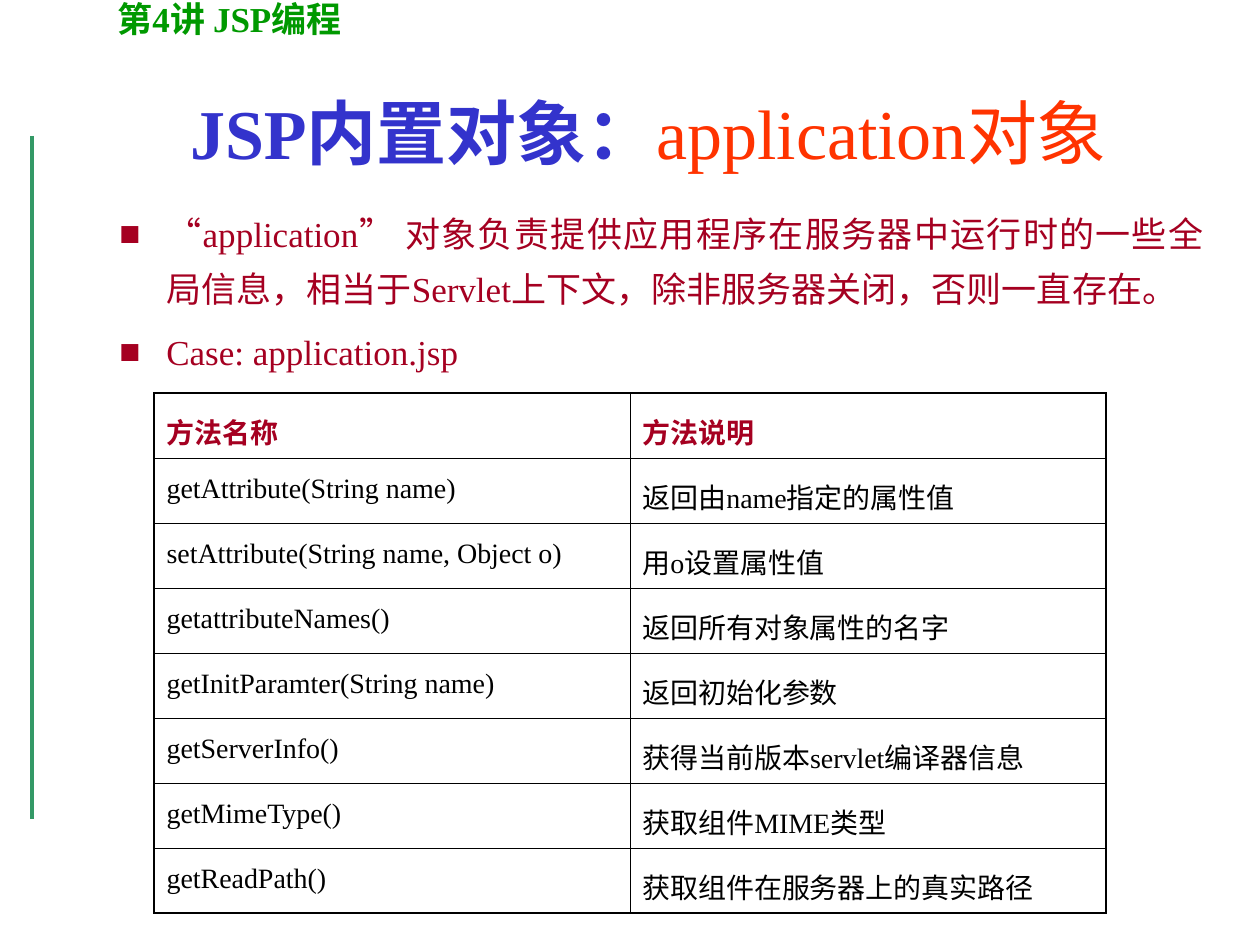
import pptx
import pptx.dml.color
import pptx.enum.shapes
import pptx.enum.text
import pptx.oxml.xmlchemy
import pptx.util
from lxml import etree

PX = 914400 / 126
FONT = "Times New Roman"
RULE_GREEN = pptx.dml.color.RGBColor(0x33, 0x99, 0x66)
LECTURE_GREEN = pptx.dml.color.RGBColor(0x00, 0x99, 0x00)
TITLE_BLUE = pptx.dml.color.RGBColor(0x33, 0x33, 0xCC)
TITLE_RED = pptx.dml.color.RGBColor(0xFF, 0x33, 0x00)
CRIMSON = pptx.dml.color.RGBColor(0xA5, 0x00, 0x21)
BLACK = pptx.dml.color.RGBColor(0x00, 0x00, 0x00)
OUTER, INNER = 1.08, 0.45

POINTS = [
    "“application” 对象负责提供应用程序在服务器中运行时的一些全局信息，相当于Servlet上下文，除非服务器关闭，否则一直存在。",
    "Case: application.jsp",
]
METHODS = [
    ("方法名称", "方法说明"),
    ("getAttribute(String name)", "返回由name指定的属性值"),
    ("setAttribute(String name, Object o)", "用o设置属性值"),
    ("getattributeNames()", "返回所有对象属性的名字"),
    ("getInitParamter(String name)", "返回初始化参数"),
    ("getServerInfo()", "获得当前版本servlet编译器信息"),
    ("getMimeType()", "获取组件MIME类型"),
    ("getReadPath()", "获取组件在服务器上的真实路径"),
]


def px(length):
    return pptx.util.Emu(round(length * PX))


def add_element(parent, tag, **attributes):
    return etree.SubElement(parent, pptx.oxml.ns.qn(tag), attributes)


def add_run(paragraph, text, size, color, bold=False):
    run = paragraph.add_run()
    run.text = text
    run.font.name = FONT
    run.font.size = pptx.util.Pt(size)
    run.font.bold = bold
    run.font.color.rgb = color


def add_frame(slide, box):
    frame = slide.shapes.add_textbox(*map(px, box)).text_frame
    frame.word_wrap = True
    return frame


def add_side_rule(slide, box):
    left, top, width, height = box
    rule = slide.shapes.add_connector(
        pptx.enum.shapes.MSO_CONNECTOR.STRAIGHT,
        px(left), px(top), px(left + width), px(top + height))
    rule.line.color.rgb = RULE_GREEN
    rule.line.width = pptx.util.Pt(2.25)
    add_element(rule._element.spPr, "a:effectLst")


def add_lecture_label(slide, box):
    label = add_frame(slide, box)
    add_run(label.paragraphs[0], "第4讲 JSP编程", 20, LECTURE_GREEN, True)


def add_title(slide, box):
    title = add_frame(slide, box)
    title.vertical_anchor = pptx.enum.text.MSO_ANCHOR.MIDDLE
    heading = title.paragraphs[0]
    heading.alignment = pptx.enum.text.PP_ALIGN.CENTER
    add_run(heading, "JSP内置对象：", 40, TITLE_BLUE, True)
    add_run(heading, "application对象", 40, TITLE_RED)


def add_points(slide, box):
    body = add_frame(slide, box)
    for index, text in enumerate(POINTS):
        point = body.add_paragraph() if index else body.paragraphs[0]
        point.alignment = pptx.enum.text.PP_ALIGN.JUSTIFY
        point.line_spacing = 1.3
        if index:
            point.space_before = pptx.util.Pt(5)
        properties = point._p.get_or_add_pPr()
        properties.set("marL", str(px(59)))
        properties.set("indent", str(-px(47)))
        bullet_color = add_element(properties, "a:buClr")
        add_element(bullet_color, "a:srgbClr", val=str(CRIMSON))
        add_element(properties, "a:buFont", typeface=FONT)
        add_element(properties, "a:buChar", char="■")
        add_run(point, text, 20, CRIMSON)


def set_borders(cell, widths):
    properties = cell._tc.get_or_add_tcPr()
    for side, width in widths.items():
        line = add_element(properties, "a:ln" + side, w=str(pptx.util.Pt(width)))
        fill = add_element(line, "a:solidFill")
        add_element(fill, "a:srgbClr", val=str(BLACK))


def add_method_table(slide, box):
    rows, columns = len(METHODS), len(METHODS[0])
    table = slide.shapes.add_table(rows, columns, *map(px, box)).table
    table.first_row = False
    table.horz_banding = False
    for column in table.columns:
        column.width = px(box[2] // columns)
    for row, entries in enumerate(METHODS):
        table.rows[row].height = px(box[3] // rows)
        for column, text in enumerate(entries):
            cell = table.cell(row, column)
            set_borders(cell, {
                "L": OUTER if column == 0 else INNER,
                "R": OUTER if column == columns - 1 else INNER,
                "T": OUTER if row == 0 else INNER,
                "B": OUTER if row == rows - 1 else INNER,
            })
            cell.fill.background()
            entry = cell.text_frame.paragraphs[0]
            entry.line_spacing = 1.3
            add_run(entry, text, 16, BLACK if row else CRIMSON, row == 0)


def main():
    deck = pptx.Presentation()
    deck.slide_width = px(1260)
    deck.slide_height = px(945)
    slide = deck.slides.add_slide(deck.slide_layouts[6])
    add_side_rule(slide, (32, 136, 0, 683))
    add_lecture_label(slide, (105, -9, 257, 97))
    add_points(slide, (95, 194, 1121, 694))
    add_title(slide, (113, 66, 1071, 131))
    add_method_table(slide, (154, 393, 952, 520))
    deck.save("out.pptx")


if __name__ == "__main__":
    main()
